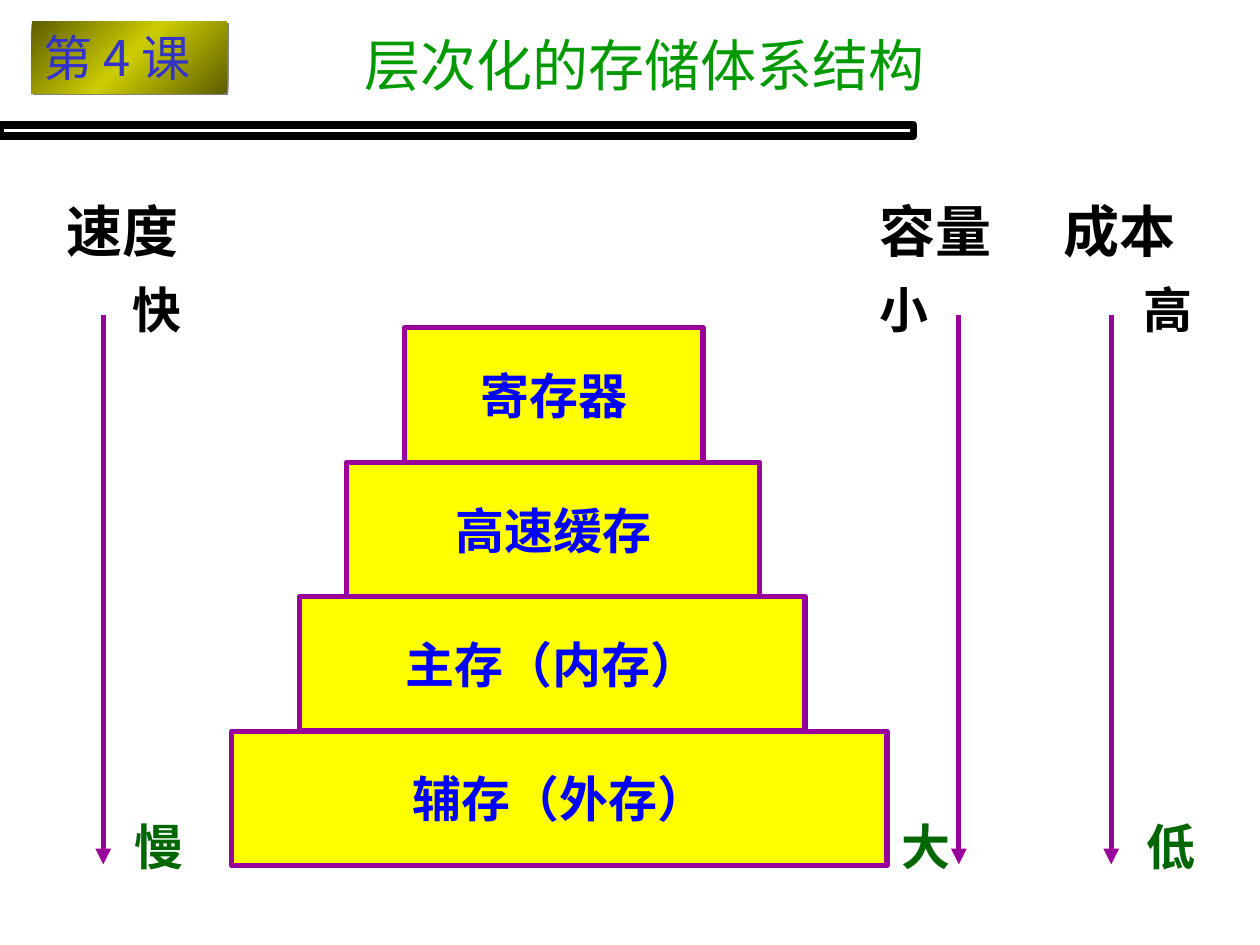
from copy import deepcopy
from pptx import Presentation
from pptx.dml.color import RGBColor
from pptx.enum.shapes import MSO_CONNECTOR, MSO_SHAPE
from pptx.enum.text import MSO_ANCHOR, MSO_AUTO_SIZE, PP_ALIGN
from pptx.oxml import parse_xml
from pptx.oxml.ns import nsdecls, qn
from pptx.oxml.xmlchemy import OxmlElement
from pptx.util import Inches, Pt

theme = {
    "black": RGBColor(0, 0, 0),
    "title": RGBColor(0, 0x99, 0),
    "badge": RGBColor(0x33, 0x33, 0xCC),
    "olive": RGBColor(0x5E, 0x5E, 0),
    "gold": RGBColor(0xCC, 0xCC, 0),
    "tier": RGBColor(0xFF, 0xFF, 0),
    "tier text": RGBColor(0, 0, 0xFF),
    "line": RGBColor(0x99, 0, 0x99),
    "low": RGBColor(0, 0x66, 0),
    "heading size": Pt(32),
    "label size": Pt(28),
    "body font": "Times New Roman",
    "title font": "Cabin",
    "asian font": "Noto Sans CJK JP",
}

deck = Presentation()
deck.slide_width, deck.slide_height = Inches(10), Inches(7.5)
page = deck.slides.add_slide(deck.slide_layouts[5])
column, row = deck.slide_width / 100, deck.slide_height / 75


def grid(left, top, width, height):
    return [round(left * column), round(top * row), round(width * column), round(height * row)]


def write(box, text, size, color, font=theme["body font"], bold=True,
          align=PP_ALIGN.LEFT, anchor=MSO_ANCHOR.TOP, wrap=False):
    frame = box.text_frame
    settings = {
        "auto_size": MSO_AUTO_SIZE.NONE, "word_wrap": wrap, "vertical_anchor": anchor,
        "margin_left": Inches(0.1), "margin_right": Inches(0.1),
        "margin_top": Inches(0.05), "margin_bottom": Inches(0.05),
    }
    for name, value in settings.items():
        setattr(frame, name, value)
    para = frame.paragraphs[0]
    para.alignment = align
    span = para.add_run()
    span.text = text
    for name, value in {"size": theme[size], "name": font, "bold": bold}.items():
        setattr(span.font, name, value)
    span.font.color.rgb = theme[color]
    asian = OxmlElement("a:ea")
    asian.set("typeface", theme["asian font"])
    span.font._element.append(asian)


title = page.shapes.title
title.left, title.top, title.width, title.height = grid(27.9, 0.5, 58.3, 9.2)
write(title, "层次化的存储体系结构", "heading size", "title", theme["title font"], False,
      PP_ALIGN.JUSTIFY, MSO_ANCHOR.MIDDLE, True)

rule = page.shapes.add_shape(MSO_SHAPE.RECTANGLE, *grid(0, 9.9, 72.5, 0.9))
rule.shadow.inherit = False
rule.fill.background()
rule.line.color.rgb = theme["black"]
rule.line.width = Pt(4.5)

badge = page.shapes.add_shape(MSO_SHAPE.RECTANGLE, *grid(2.5, 1.7, 15.5, 5.7))
badge.line.fill.background()
badge.fill.gradient()
badge.fill.gradient_angle = 315
stop_list = badge._element.spPr.find(qn("a:gradFill")).find(qn("a:gsLst"))
stop_list.insert(1, deepcopy(stop_list[0]))
for stop, position, color in zip(badge.fill.gradient_stops, (0, 0.5, 1), ("olive", "gold", "olive")):
    stop.position = position
    stop.color.rgb = theme[color]
badge._element.spPr.append(parse_xml(
    f'<a:effectLst {nsdecls("a")}><a:outerShdw dist="17780" dir="2700000" algn="ctr" rotWithShape="0">'
    '<a:srgbClr val="808080"/></a:outerShdw></a:effectLst>'))
write(badge, "第 4 课", "label size", "badge", theme["asian font"], False)

tier_height = 10.67
tiers = [("辅存（外存）", 18.4, 52), ("主存（内存）", 23.8, 40.1),
         ("高速缓存", 27.5, 32.8), ("寄存器", 32.1, 23.7)]
for level, (text, left, width) in enumerate(tiers, 1):
    tier = page.shapes.add_shape(
        MSO_SHAPE.RECTANGLE, *grid(left, 68.7 - level * tier_height, width, tier_height))
    tier.shadow.inherit = False
    tier.fill.solid()
    tier.fill.fore_color.rgb = theme["tier"]
    tier.line.color.rgb = theme["line"]
    tier.line.width = Pt(3)
    write(tier, text, "label size", "tier text", align=PP_ALIGN.CENTER, anchor=MSO_ANCHOR.MIDDLE)

scales = [
    (8.2, ("速度", 4.3), ("快", 9.5), ("慢", 9.7)),
    (76.1, ("容量", 68.8), ("小", 68.8), ("大", 70.6)),
    (88.2, ("成本", 83.4), ("高", 89.8), ("低", 90)),
]
label_rows = [(15.1, 10.9, 6.4, "heading size", "black"),
              (21.7, 5.9, 5.7, "label size", "black"),
              (64.3, 5.9, 5.7, "label size", "low")]
for axis, *labels in scales:
    x, top, _, length = grid(axis, 25, 0, 43.6)
    arrow = page.shapes.add_connector(MSO_CONNECTOR.STRAIGHT, x, top, x, top + length)
    arrow.line.color.rgb = theme["line"]
    arrow.line.width = Pt(3)
    head = OxmlElement("a:tailEnd")
    head.set("type", "triangle")
    arrow.line._get_or_add_ln().append(head)
    arrow._element.spPr.append(OxmlElement("a:effectLst"))
    for (text, left), (top, width, height, size, color) in zip(labels, label_rows):
        write(page.shapes.add_textbox(*grid(left, top, width, height)), text, size, color)

deck.save("out.pptx")
